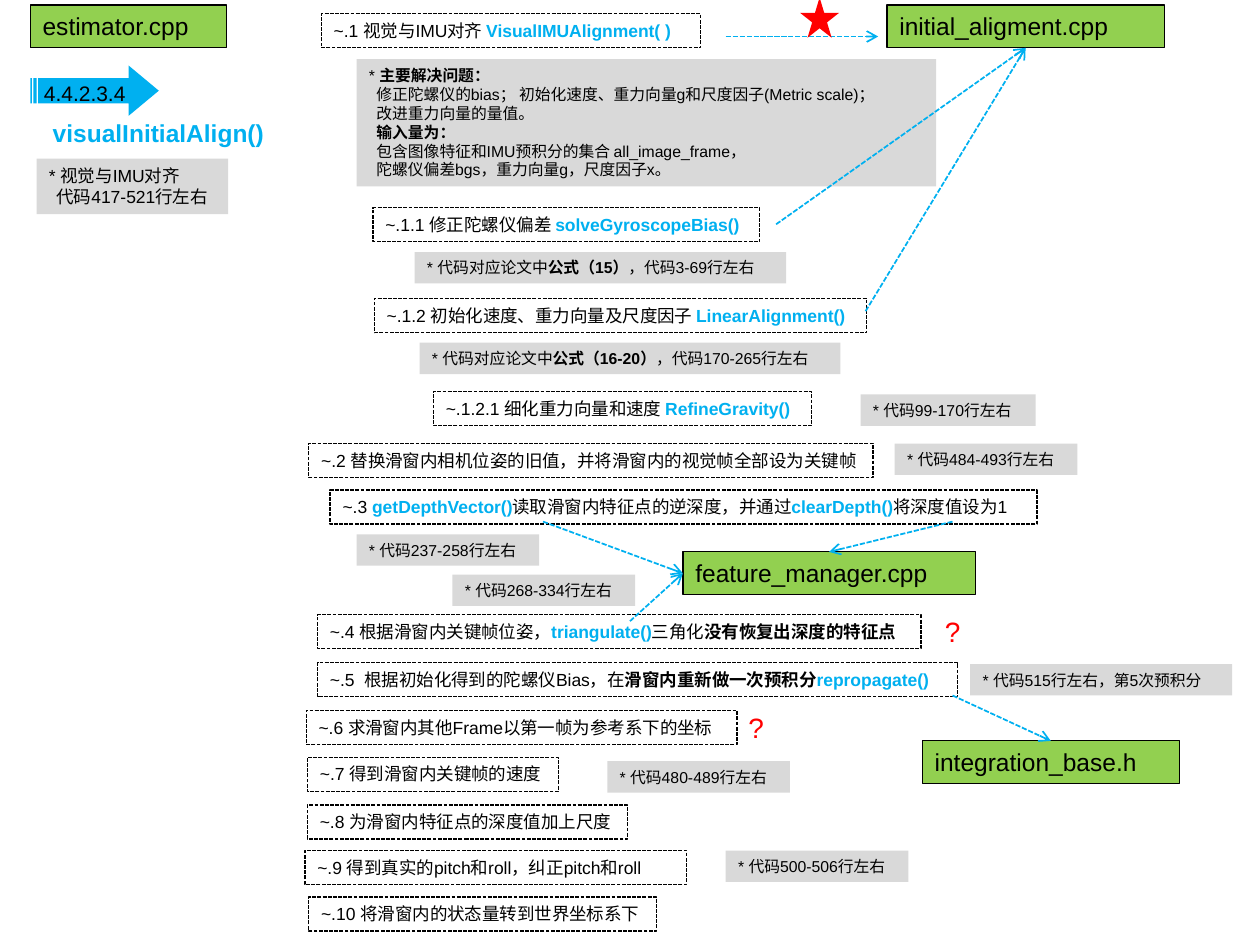
from lxml import etree
from pptx import Presentation
from pptx.dml.color import RGBColor
from pptx.enum import dml, shapes, text
from pptx.oxml.ns import qn
from pptx.util import Inches, Pt

BLACK, BLUE, RED = "000000", "00B0F0", "FF0000"
GREEN, GREY = "92D050", "D9D9D9"


def rgb(value):
    return RGBColor.from_string(value)


def bold(words):
    return words, BLACK, True


def code(words):
    return words, BLUE, True


def write(sp, paragraphs, size, wrap=False, indent=0):
    tf = sp.text_frame
    tf.word_wrap = wrap
    tf.auto_size = text.MSO_AUTO_SIZE.NONE
    tf.margin_right = Inches(0.02)
    tf.vertical_anchor = text.MSO_ANCHOR.TOP
    for i, runs in enumerate(paragraphs):
        p = tf.add_paragraph() if i else tf.paragraphs[0]
        p.alignment = text.PP_ALIGN.LEFT
        p.font.size = Pt(size)
        p.font.name = "Arial"
        if i and indent:
            p._p.get_or_add_pPr().set("marL", str(Inches(indent)))
        for run in runs:
            words, color, is_bold = (run, BLACK, False) if isinstance(run, str) else run
            r = p.add_run()
            r.text = words
            r.font.color.rgb = rgb(color)
            r.font.bold = is_bold


def add_shape(s, kind, x, y, w, h, fill=None, line=None):
    sp = s.shapes.add_shape(kind, Inches(x), Inches(y), Inches(w), Inches(h))
    sp.shadow.inherit = False
    if fill:
        sp.fill.solid()
        sp.fill.fore_color.rgb = rgb(fill)
    else:
        sp.fill.background()
    if line:
        sp.line.color.rgb = rgb(line)
        sp.line.width = Pt(0.75)
    else:
        sp.line.fill.background()
    return sp


def add_file(s, x, y, w, name):
    sp = add_shape(s, shapes.MSO_SHAPE.RECTANGLE, x, y, w, 0.34, GREEN, BLACK)
    write(sp, [[name]], 14, wrap=True)
    return sp


def add_step(s, x, y, w, *runs):
    sp = add_shape(s, shapes.MSO_SHAPE.RECTANGLE, x, y, w, 0.27, line=BLACK)
    sp.line.dash_style = dml.MSO_LINE.SQUARE_DOT
    write(sp, [runs], 10)


def add_note(s, x, y, w, h, paragraphs, size=9, wrap=False):
    sp = add_shape(s, shapes.MSO_SHAPE.RECTANGLE, x, y, w, h, GREY)
    write(sp, paragraphs, size, wrap, indent=0.06)


def add_label(s, x, y, w, h, run, size):
    tb = s.shapes.add_textbox(Inches(x), Inches(y), Inches(w), Inches(h))
    write(tb, [[run]], size, wrap=True)


def add_arrow(s, x1, y1, x2, y2, target=None, site=0):
    c = s.shapes.add_connector(shapes.MSO_CONNECTOR.STRAIGHT,
                               Inches(x1), Inches(y1), Inches(x2), Inches(y2))
    if target is not None:
        c.end_connect(target, site)
    c.line.color.rgb = rgb(BLUE)
    c.line.width = Pt(1)
    c.line.dash_style = dml.MSO_LINE.SQUARE_DOT
    etree.SubElement(c.line._get_or_add_ln(), qn("a:tailEnd"), type="arrow")
    etree.SubElement(c._element.spPr, qn("a:effectLst"))


def add_heading(s):
    add_file(s, 0.24, 0.04, 1.56, "estimator.cpp")
    add_label(s, 0.32, 0.89, 1.88, 0.34, code("visualInitialAlign()"), 14)
    arrow = add_shape(s, shapes.MSO_SHAPE.STRIPED_RIGHT_ARROW, 0.24, 0.52, 1.02, 0.4, BLUE)
    arrow.adjustments[1] = 0.6
    add_label(s, 0.25, 0.59, 1.09, 0.3, "4.4.2.3.4", 12)
    add_note(s, 0.29, 1.26, 1.52, 0.44, [["* 视觉与IMU对齐"], ["代码417-521行左右"]], size=10)


def add_steps(s):
    steps = [
        (2.55, 0.11, 3.01, "~.1 视觉与IMU对齐 ", code("VisualIMUAlignment( )")),
        (2.96, 1.65, 3.07, "~.1.1 修正陀螺仪偏差 ", code("solveGyroscopeBias()")),
        (2.97, 2.37, 3.91, "~.1.2 初始化速度、重力向量及尺度因子 ", code("LinearAlignment()")),
        (3.44, 3.11, 3.0, "~.1.2.1 细化重力向量和速度 ", code("RefineGravity()")),
        (2.45, 3.52, 4.48, "~.2 替换滑窗内相机位姿的旧值，并将滑窗内的视觉帧全部设为关键帧"),
        (2.62, 3.89, 5.61, "~.3 ", code("getDepthVector()"),
         "读取滑窗内特征点的逆深度，并通过", code("clearDepth()"), "将深度值设为1"),
        (2.52, 4.88, 4.79, "~.4 根据滑窗内关键帧位姿，", code("triangulate()"),
         "三角化", bold("没有恢复出深度的特征点")),
        (2.52, 5.26, 5.08, "~.5  根据初始化得到的陀螺仪Bias，在",
         bold("滑窗内重新做一次预积分"), code("repropagate()")),
        (2.43, 5.64, 3.42, "~.6 求滑窗内其他Frame以第一帧为参考系下的坐标"),
        (2.44, 6.01, 1.99, "~.7 得到滑窗内关键帧的速度"),
        (2.44, 6.39, 2.54, "~.8 为滑窗内特征点的深度值加上尺度"),
        (2.42, 6.75, 3.03, "~.9 得到真实的pitch和roll，纠正pitch和roll"),
        (2.45, 7.12, 2.76, "~.10 将滑窗内的状态量转到世界坐标系下"),
    ]
    for step in steps:
        add_step(s, *step)


def add_notes(s):
    add_note(s, 2.83, 0.47, 4.6, 1.01, [
        ["* ", bold("主要解决问题：")],
        ["修正陀螺仪的bias； 初始化速度、重力向量g和尺度因子(Metric scale)；"],
        ["改进重力向量的量值。"],
        [bold("输入量为：")],
        ["包含图像特征和IMU预积分的集合 all_image_frame，"],
        ["陀螺仪偏差bgs，重力向量g，尺度因子x。"],
    ], wrap=True)
    for x, y, w, formula, lines in [(3.29, 2.0, 2.95, "15", "3-69"),
                                    (3.33, 2.72, 3.34, "16-20", "170-265")]:
        add_note(s, x, y, w, 0.25, [["* 代码对应论文中", bold(f"公式（{formula}）"),
                                     f"，代码{lines}行左右"]])
    for x, y, w, lines, extra in [
        (6.83, 3.13, 1.39, "99-170", ""),
        (7.1, 3.52, 1.45, "484-493", ""),
        (2.83, 4.24, 1.45, "237-258", ""),
        (3.59, 4.56, 1.45, "268-334", ""),
        (7.7, 5.27, 2.08, "515", "，第5次预积分"),
        (4.82, 6.04, 1.45, "480-489", ""),
        (5.76, 6.75, 1.45, "500-506", ""),
    ]:
        add_note(s, x, y, w, 0.25, [[f"* 代码{lines}行左右{extra}"]])


def add_links(s):
    alignment = add_file(s, 7.04, 0.04, 2.2, "initial_aligment.cpp")
    features = add_file(s, 5.42, 4.38, 2.32, "feature_manager.cpp")
    integration = add_file(s, 7.32, 5.88, 2.04, "integration_base.h")
    add_arrow(s, 5.76, 0.29, 6.97, 0.29)
    add_arrow(s, 6.16, 1.78, 8.14, 0.38, alignment, 2)
    add_arrow(s, 6.87, 2.47, 8.14, 0.38, alignment, 2)
    add_arrow(s, 4.31, 4.14, 5.42, 4.55, features, 1)
    add_arrow(s, 7.56, 4.14, 6.58, 4.38, features, 0)
    add_arrow(s, 5.0, 4.93, 5.42, 4.55, features, 1)
    add_arrow(s, 7.56, 5.52, 8.34, 5.88, integration, 0)


def add_marks(s):
    add_shape(s, shapes.MSO_SHAPE.STAR_5_POINT, 6.35, -0.02, 0.31, 0.32, RED)
    for x, y in [(7.4, 4.83), (5.84, 5.59)]:
        add_label(s, x, y, 0.32, 0.37, ("?", RED, False), 16)


def main():
    prs = Presentation()
    prs.slide_width, prs.slide_height = Inches(10), Inches(7.5)
    s = prs.slides.add_slide(prs.slide_layouts[6])
    add_heading(s)
    add_steps(s)
    add_notes(s)
    add_links(s)
    add_marks(s)
    prs.save("out.pptx")


if __name__ == "__main__":
    main()
